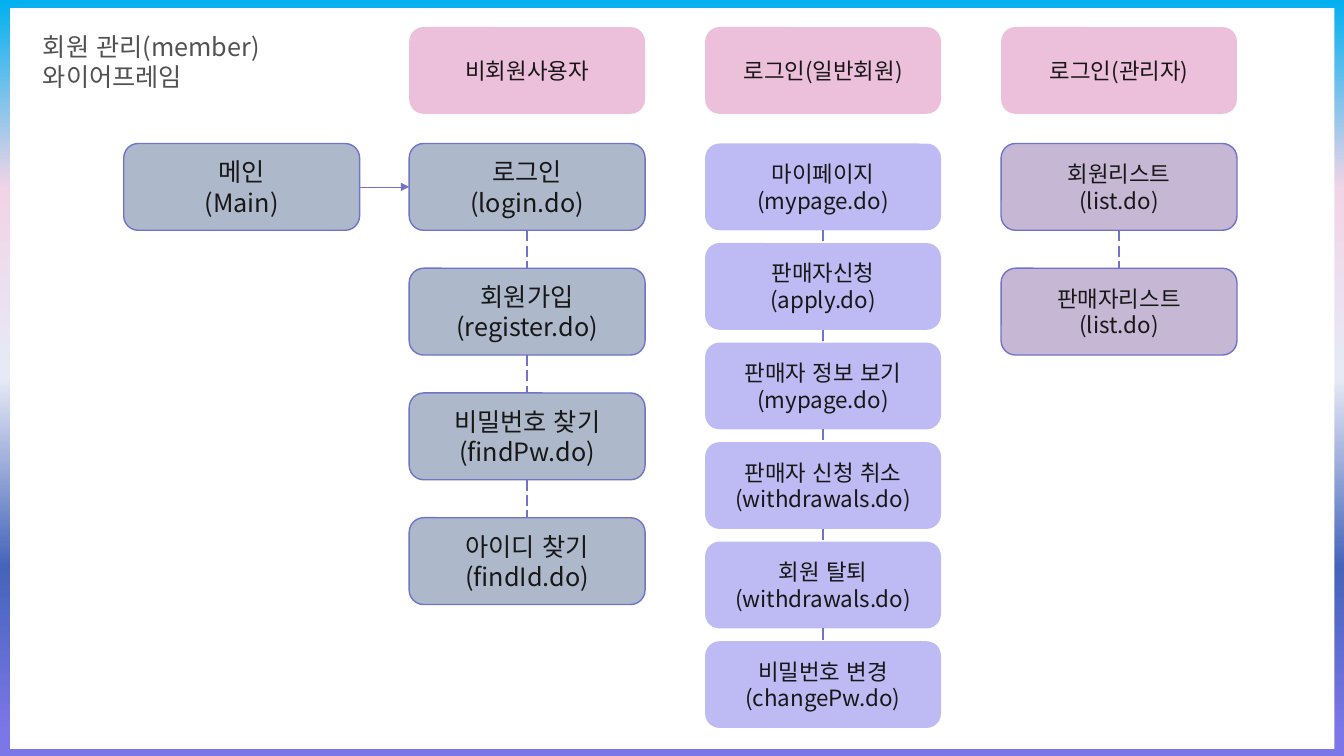
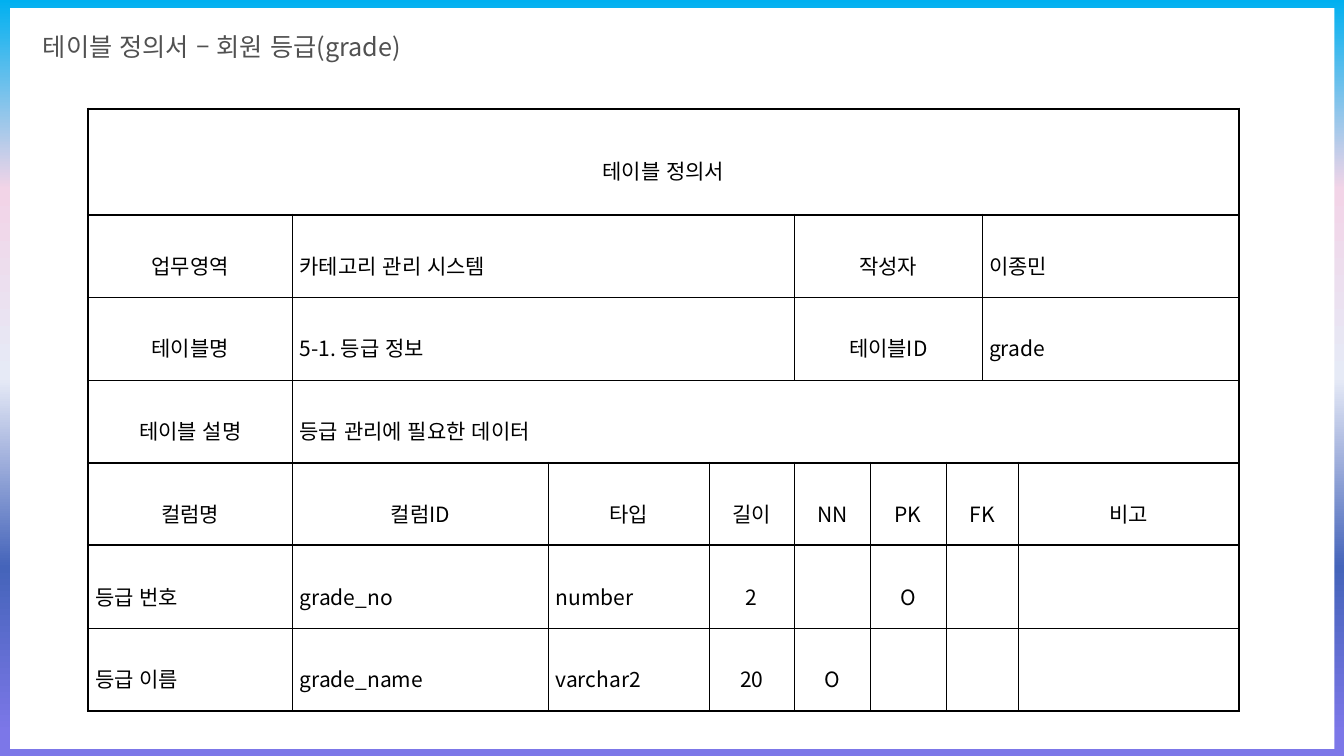
from dataclasses import dataclass

from lxml import etree
from pptx import Presentation
from pptx.dml.color import RGBColor
from pptx.enum import dml, lang, shapes, text
from pptx.oxml import ns
from pptx.util import Pt

CENTER, JUSTIFY = text.PP_ALIGN.CENTER, text.PP_ALIGN.JUSTIFY


@dataclass(frozen=True)
class Theme:
    font: str = "Noto Sans CJK KR"
    backdrop: tuple = ((0, "00B0F0"), (25, "F2D4E7"), (50, "E6EAF6"),
                       (75, "4564BA"), (97, "7C77E8"))
    panel: str = "FFFFFF"
    title: str = "515151"
    ink: str = "181717"
    black: str = "000000"
    outline: str = "7173C9"
    header: str = "ECBFDA"
    guest: str = "ADB9CA"
    member: str = "BEBBF4"
    admin: str = "C6B8D5"
    large: int = 18
    medium: int = 16
    cell: int = 15
    thin: float = 0.28
    thick: float = 1.7


T = Theme()

# Content: wireframe
WIREFRAME_TITLE = ["회원 관리(member)", "와이어프레임"]
MAIN_PAGE = ["메인", "(Main)"]
ROLES = [
    dict(name="비회원사용자", fill=T.guest, size=T.large, line=T.outline, pitch=89.1, pages=[
        ["로그인", "(login.do)"],
        ["회원가입", "(register.do)"],
        ["비밀번호 찾기(findPw.do)"],
        ["아이디 찾기", "(findId.do)"]]),
    dict(name="로그인(일반회원)", fill=T.member, size=T.medium, line=None, pitch=71.1, pages=[
        ["마이페이지", "(mypage.do)"],
        ["판매자신청", "(apply.do)"],
        ["판매자 정보 보기", "(mypage.do)"],
        ["판매자 신청 취소(withdrawals.do)"],
        ["회원 탈퇴", "(withdrawals.do)"],
        ["비밀번호 변경", "(changePw.do)"]]),
    dict(name="로그인(관리자)", fill=T.admin, size=T.medium, line=T.outline, pitch=89.1, pages=[
        ["회원리스트", "(list.do)"],
        ["판매자리스트", "(list.do)"]]),
]

# Content: table definition, each cell as (text, columns spanned, alignment)
GRADE_TITLE = ["테이블 정의서 – 회원 등급(grade)"]
GRADE_ROWS = [
    [("테이블 정의서", 9, CENTER)],
    [("업무영역", 1, CENTER), ("카테고리 관리 시스템", 3, JUSTIFY),
     ("작성자", 3, CENTER), ("이종민", 2, JUSTIFY)],
    [("테이블명", 1, CENTER), ("5-1. 등급 정보", 3, JUSTIFY),
     ("테이블ID", 3, CENTER), ("grade", 2, JUSTIFY)],
    [("테이블 설명", 1, CENTER), ("등급 관리에 필요한 데이터", 8, JUSTIFY)],
    [("컬럼명", 1, CENTER), ("컬럼ID", 1, CENTER), ("타입", 1, CENTER), ("길이", 1, CENTER),
     ("NN", 1, CENTER), ("PK", 1, CENTER), ("FK", 2, CENTER), ("비고", 1, CENTER)],
    [("등급 번호", 1, JUSTIFY), ("grade_no", 1, JUSTIFY), ("number", 1, JUSTIFY),
     ("2", 1, CENTER), ("", 1, CENTER), ("O", 1, CENTER), ("", 2, CENTER), ("", 1, CENTER)],
    [("등급 이름", 1, JUSTIFY), ("grade_name", 1, JUSTIFY), ("varchar2", 1, JUSTIFY),
     ("20", 1, CENTER), ("O", 1, CENTER), ("", 1, CENTER), ("", 2, CENTER), ("", 1, CENTER)],
]
GRADE_WIDTHS = [146.2, 182.9, 114.5, 61.2, 54, 54, 25.9, 25.9, 157.7]
GRADE_HEIGHTS = [75.7] + [59.1] * 6
SECTION_ENDS = {0, 3, 4}  # rows closed by a thick rule

# Wireframe grid
BOX_W, BOX_H = 168.5, 62
ROLE_X, ROLE_PITCH = 292.3, 211.4
HEADER_Y, PAGE_Y, MAIN_X = 19.3, 102.5, 88.4
TOP, LEFT, BOTTOM, RIGHT = range(4)  # connection sites


def rgb(value):
    return RGBColor.from_string(value)


def add_xml(parent, tag, **attributes):
    return etree.SubElement(parent, ns.qn(tag), attributes)


def write(frame, lines, *, size, color=T.ink, align=None, spacing=None):
    """Fill a text frame with one paragraph per line."""
    for i, line in enumerate(lines):
        paragraph = frame.add_paragraph() if i else frame.paragraphs[0]
        paragraph.alignment = align
        paragraph.line_spacing = spacing
        run = paragraph.add_run()
        run.text = line
        run.font.size = Pt(size)
        run.font.name = T.font
        run.font.color.rgb = rgb(color)
        run.font.language_id = lang.MSO_LANGUAGE_ID.KOREAN
        add_xml(run.font._element, "a:ea", typeface=T.font)


def add_block(slide, kind, x, y, w, h, fill, line=None):
    block = slide.shapes.add_shape(kind, Pt(x), Pt(y), Pt(w), Pt(h))
    block.shadow.inherit = False
    block.fill.solid()
    block.fill.fore_color.rgb = rgb(fill)
    if line:
        block.line.color.rgb = rgb(line)
        block.line.width = Pt(1)
    else:
        block.line.fill.background()
    return block


def add_page(slide, x, y, lines, *, fill, size, line=None):
    page = add_block(slide, shapes.MSO_SHAPE.ROUNDED_RECTANGLE, x, y, BOX_W, BOX_H, fill, line)
    page.text_frame.word_wrap = True
    page.text_frame.vertical_anchor = text.MSO_ANCHOR.MIDDLE
    write(page.text_frame, lines, size=size, align=CENTER)
    return page


def link(slide, start, start_site, end, end_site, *, arrow=False):
    connector = slide.shapes.add_connector(shapes.MSO_CONNECTOR.STRAIGHT, 0, 0, 0, 0)
    connector.begin_connect(start, start_site)
    connector.end_connect(end, end_site)
    connector.line.color.rgb = rgb(T.outline)
    connector.line.width = Pt(0.5 if arrow else 1)
    if arrow:
        add_xml(connector.line._get_or_add_ln(), "a:tailEnd", type="triangle")
    else:
        connector.line.dash_style = dml.MSO_LINE.LONG_DASH
    add_xml(connector._element.spPr, "a:effectLst")


def set_backdrop(master):
    """Give every slide the vertical gradient."""
    fill = master.background.fill
    fill.gradient()
    fill.gradient_angle = 270
    stops = next(master.element.cSld.iter(ns.qn("a:gsLst")))
    for stop in list(stops):
        stops.remove(stop)
    for percent, color in T.backdrop:
        stop = add_xml(stops, "a:gs", pos=str(percent * 1000))
        add_xml(stop, "a:srgbClr", val=color)


def new_slide(deck, title, title_w):
    """Add a slide with the white panel and its title."""
    slide = deck.slides.add_slide(deck.slide_layouts[6])
    add_block(slide, shapes.MSO_SHAPE.RECTANGLE, 7.2, 5.8, 946, 529.2, T.panel)
    box = slide.shapes.add_textbox(Pt(23.6), Pt(18.7), Pt(title_w), Pt(7 + 22 * len(title)))
    box.text_frame.word_wrap = False
    write(box.text_frame, title, size=T.large, color=T.title)
    return slide


def build_wireframe(deck):
    slide = new_slide(deck, WIREFRAME_TITLE, 173.5)
    first_pages = []
    for i, role in enumerate(ROLES):
        x = ROLE_X + i * ROLE_PITCH
        add_page(slide, x, HEADER_Y, [role["name"]], fill=T.header, size=T.medium)
        pages = [add_page(slide, x, PAGE_Y + row * role["pitch"], lines,
                          fill=role["fill"], size=role["size"], line=role["line"])
                 for row, lines in enumerate(role["pages"])]
        for upper, lower in zip(pages, pages[1:]):
            link(slide, upper, BOTTOM, lower, TOP)
        first_pages.append(pages[0])
    main_page = add_page(slide, MAIN_X, PAGE_Y, MAIN_PAGE,
                         fill=T.guest, size=T.large, line=T.outline)
    link(slide, main_page, RIGHT, first_pages[0], LEFT, arrow=True)


def set_borders(cell, **widths):
    for side in "LRTB":
        properties = cell._tc.get_or_add_tcPr()
        line = add_xml(properties, f"a:ln{side}", w=str(int(Pt(widths[side]))))
        add_xml(add_xml(line, "a:solidFill"), "a:srgbClr", val=T.black)


def build_grade_table(deck):
    slide = new_slide(deck, GRADE_TITLE, 290.2)
    n_rows, n_cols = len(GRADE_HEIGHTS), len(GRADE_WIDTHS)
    table = slide.shapes.add_table(n_rows, n_cols, Pt(62.8), Pt(77.6),
                                   Pt(sum(GRADE_WIDTHS)), Pt(sum(GRADE_HEIGHTS))).table
    table.first_row = table.horz_banding = False
    for column, width in zip(table.columns, GRADE_WIDTHS):
        column.width = Pt(width)
    for row, height in zip(table.rows, GRADE_HEIGHTS):
        row.height = Pt(height)

    thick_rules = {-1, n_rows - 1} | SECTION_ENDS
    for r, entries in enumerate(GRADE_ROWS):
        c = 0
        for label, span, align in entries:
            end = c + span
            cell = table.cell(r, c)
            if span > 1:
                cell.merge(table.cell(r, end - 1))
            for part in range(c, end):
                set_borders(table.cell(r, part),
                            L=T.thin if c else T.thick,
                            R=T.thin if end < n_cols else T.thick,
                            T=T.thick if r - 1 in thick_rules else T.thin,
                            B=T.thick if r in thick_rules else T.thin)
                table.cell(r, part).fill.background()
            cell.vertical_anchor = text.MSO_ANCHOR.MIDDLE
            cell.margin_left = cell.margin_right = Pt(5.1)
            cell.margin_top = cell.margin_bottom = Pt(1.4)
            if label:
                write(cell.text_frame, [label], size=T.cell, color=T.black,
                      align=align, spacing=1.6)
            c = end


def main():
    deck = Presentation()
    deck.slide_width, deck.slide_height = Pt(960), Pt(540)
    set_backdrop(deck.slide_master)
    build_wireframe(deck)
    build_grade_table(deck)
    deck.save("out.pptx")


if __name__ == "__main__":
    main()
